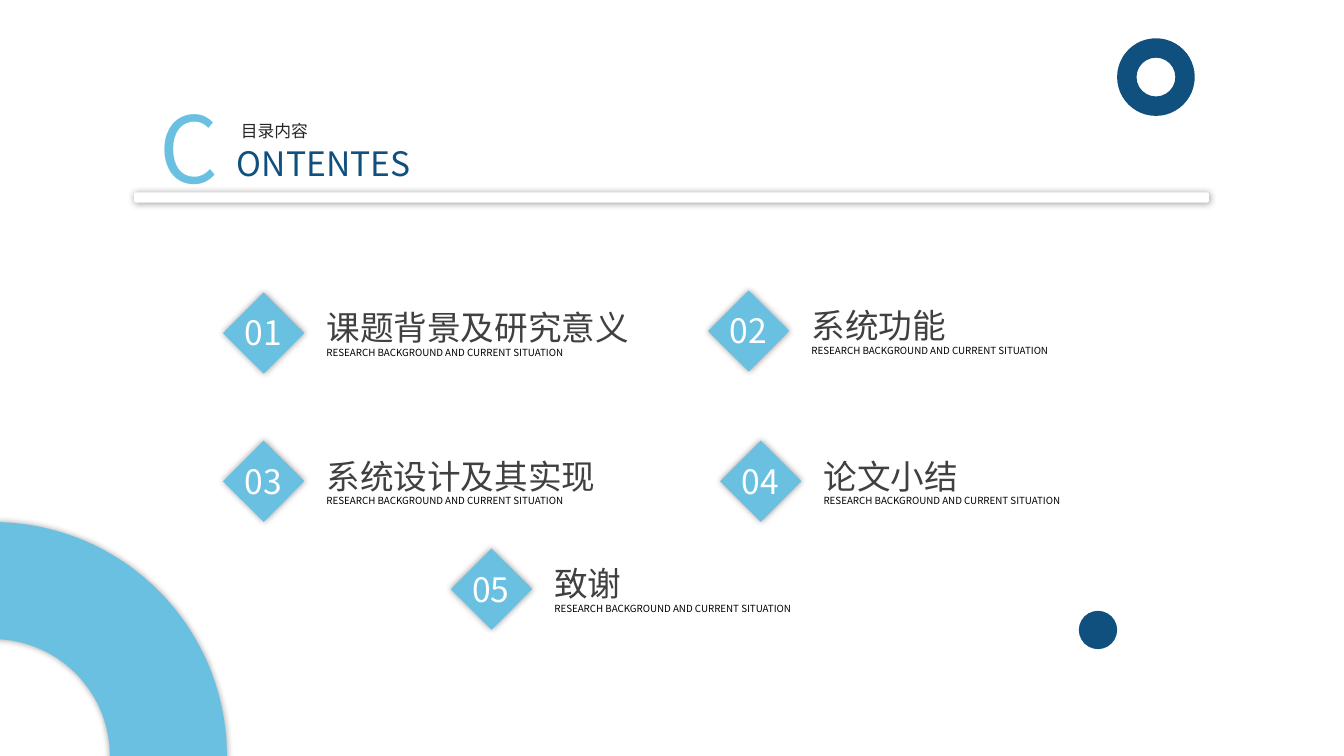
from lxml import etree
from pptx import Presentation
from pptx.dml.color import RGBColor
from pptx.enum.shapes import MSO_SHAPE
from pptx.enum.text import MSO_ANCHOR, MSO_AUTO_SIZE, PP_ALIGN
from pptx.oxml.ns import qn
from pptx.util import Inches, Pt

DONUT, CIRCLE = MSO_SHAPE.DONUT, MSO_SHAPE.OVAL
SQUARE, ROUNDED = MSO_SHAPE.RECTANGLE, MSO_SHAPE.ROUNDED_RECTANGLE
LEFT, CENTER, JUSTIFY = PP_ALIGN.LEFT, PP_ALIGN.CENTER, PP_ALIGN.JUSTIFY
TOP, GROW = MSO_ANCHOR.TOP, MSO_AUTO_SIZE.SHAPE_TO_FIT_TEXT

SKY, NAVY, WHITE = "69C0E1", "10507E", "FFFFFF"
CAPTION = "RESEARCH BACKGROUND AND CURRENT SITUATION"

# Number, heading, heading width, left and top of the marker
ENTRIES = [
    ("01", "课题背景及研究意义", 3.92, 2.33, 3.02),
    ("02", "系统功能", 2.85, 7.14, 3.0),
    ("03", "系统设计及其实现", 3.03, 2.33, 4.49),
    ("04", "论文小结", 2.85, 7.26, 4.49),
    ("05", "致谢", 2.85, 4.59, 5.56),
]


def color(hex_code):
    return RGBColor.from_string(hex_code)


def write(frame, text, size=24, ink=NAVY, align=JUSTIFY, font="Noto Sans CJK SC"):
    frame.word_wrap = True
    frame.auto_size = GROW
    frame.vertical_anchor = TOP
    paragraph = frame.paragraphs[0]
    paragraph.alignment = align
    run = paragraph.add_run()
    run.text = text
    run.font.size = Pt(size)
    run.font.bold = False
    run.font.color.rgb = color(ink)
    run.font.name = font
    etree.SubElement(run.font._element, qn("a:ea"), typeface=font)


class ContentsSlide:
    def __init__(self, deck, font="Noto Sans CJK SC"):
        self.font = font
        self.slide = deck.slides.add_slide(deck.slide_layouts[5])
        self.shapes = self.slide.shapes

    def title(self, text, x, y, w, h, **style):
        heading = self.shapes.title
        heading.left, heading.top = Inches(x), Inches(y)
        heading.width, heading.height = Inches(w), Inches(h)
        write(heading.text_frame, text, font=self.font, **style)

    def text(self, text, x, y, w, h, parent=None, **style):
        box = (parent or self.shapes).add_textbox(
            Inches(x), Inches(y), Inches(w), Inches(h))
        write(box.text_frame, text, font=self.font, **style)

    def shape(self, kind, x, y, w, h, fill, parent=None, shadow=False, turn=0):
        figure = (parent or self.shapes).add_shape(
            kind, Inches(x), Inches(y), Inches(w), Inches(h))
        figure.rotation = turn
        figure.fill.solid()
        figure.fill.fore_color.rgb = color(fill)
        figure.line.fill.background()
        figure.shadow.inherit = False
        if shadow:
            self.soft_shadow(figure)

    def soft_shadow(self, figure):
        effects = figure._element.spPr.find(qn("a:effectLst"))
        outer = etree.SubElement(effects, qn("a:outerShdw"), blurRad=str(Pt(5)),
                                 dist="0", dir="0", algn="ctr", rotWithShape="0")
        black = etree.SubElement(outer, qn("a:srgbClr"), val="000000")
        etree.SubElement(black, qn("a:alpha"), val="40000")

    def entry(self, number, heading, width, x, y):
        group = self.shapes.add_group_shape().shapes
        self.shape(SQUARE, x, y, 0.57, 0.57, SKY, group, shadow=True, turn=44.9)
        self.text(number, x - 0.08, y + 0.03, 0.72, 0.5, group,
                  ink=WHITE, align=CENTER)
        self.text(heading, x + 0.81, y - 0.02, width, 0.5, group, ink="404040")
        self.text(CAPTION, x + 0.81, y + 0.37, 3.16, 0.22, group,
                  size=7, ink="000000")


def main():
    deck = Presentation()
    deck.slide_width, deck.slide_height = Inches(13.33), Inches(7.5)
    page = ContentsSlide(deck)

    # Heading with its rule
    page.text("C", 1.48, 0.85, 0.77, 1.21, size=66, ink=SKY, align=LEFT)
    page.title("ONTENTES", 2.25, 1.37, 2.13, 0.5)
    page.text("目录内容", 2.29, 1.15, 1.07, 0.3, size=12, ink="262626")
    page.shape(ROUNDED, 1.33, 1.91, 10.66, 0.1, WHITE, shadow=True)

    # Rings and dot
    page.shape(DONUT, 11.08, 0.38, 0.77, 0.77, NAVY)
    page.shape(DONUT, -2.39, 5.18, 4.64, 4.64, SKY, shadow=True)
    page.shape(CIRCLE, 10.7, 6.06, 0.38, 0.38, NAVY)

    # Contents entries
    for entry in ENTRIES:
        page.entry(*entry)

    deck.save("out.pptx")


if __name__ == "__main__":
    main()
